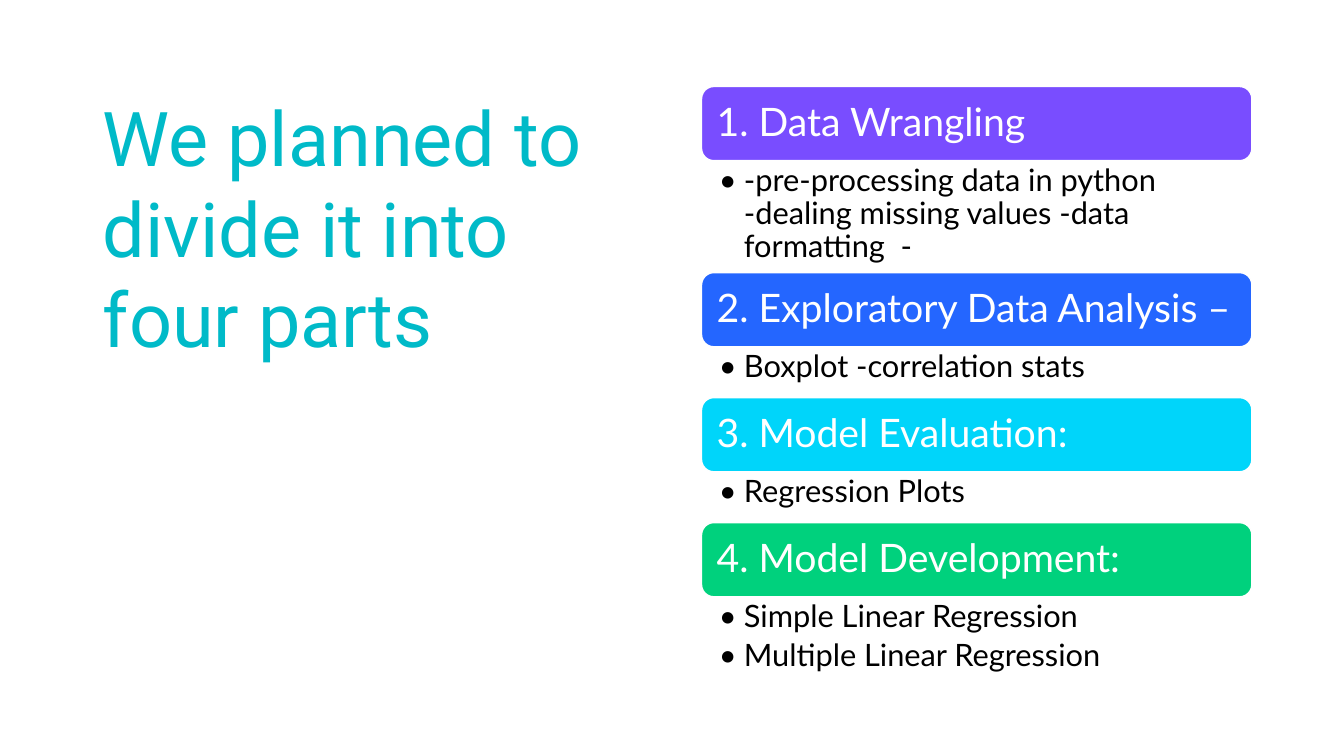
from lxml.etree import SubElement
from pptx import Presentation
from pptx.dml.color import RGBColor
from pptx.enum.shapes import MSO_SHAPE
from pptx.enum.text import MSO_ANCHOR, PP_ALIGN
from pptx.oxml.ns import qn
from pptx.util import Cm, Pt

COLORS = {
    "title": "00BAC8",
    "white": "FFFFFF",
    "black": "000000",
    "purple": "794DFF",
    "blue": "2466FF",
    "cyan": "00D5FA",
    "green": "00D17D",
}

# heading, bar colour, height of the details in cm, details
PARTS = [
    ("1. Data Wrangling", "purple", 2.82,
     ["-pre-processing data in python -dealing missing values -data formatting  -"]),
    ("2. Exploratory Data Analysis –", "blue", 1.28, ["Boxplot -correlation stats"]),
    ("3. Model Evaluation:", "cyan", 1.28, ["Regression Plots"]),
    ("4. Model Development:", "green", 2.08,
     ["Simple Linear Regression", "Multiple Linear Regression"]),
]

LIST_LEFT, LIST_TOP, LIST_WIDTH = 17.68, 2.18, 13.87
BAR_HEIGHT = 1.87


def color(name):
    return RGBColor.from_string(COLORS[name])


class SlideBuilder:
    title_font = "Roboto"
    body_font = "Lato"

    def __init__(self, presentation):
        self.slide = presentation.slides.add_slide(presentation.slide_layouts[5])

    def set_frame(self, frame, left, top, right, bottom, anchor):
        frame.word_wrap = True
        frame.margin_left, frame.margin_top = Cm(left), Cm(top)
        frame.margin_right, frame.margin_bottom = Cm(right), Cm(bottom)
        frame.vertical_anchor = anchor

    def style(self, paragraph, font_name, size, color_name, spacing):
        paragraph.alignment = PP_ALIGN.LEFT
        paragraph.line_spacing = spacing
        paragraph.font.name = font_name
        paragraph.font.size = Pt(size)
        paragraph.font.color.rgb = color(color_name)

    def add_title(self, text):
        title = self.slide.shapes.title
        title.left, title.top = Cm(2.34), Cm(2.16)
        title.width, title.height = Cm(13.87), Cm(14.99)
        frame = title.text_frame
        frame.text = text
        self.set_frame(frame, 0.25, 0.13, 0.25, 0.13, MSO_ANCHOR.TOP)
        self.style(frame.paragraphs[0], self.title_font, 54, "title", 1.0)

    def add_bar(self, text, top, fill):
        bar = self.slide.shapes.add_shape(
            MSO_SHAPE.ROUNDED_RECTANGLE,
            Cm(LIST_LEFT), Cm(top), Cm(LIST_WIDTH), Cm(BAR_HEIGHT))
        bar.shadow.inherit = False
        bar.fill.solid()
        bar.fill.fore_color.rgb = color(fill)
        bar.line.color.rgb = color("white")
        bar.line.width = Pt(1)
        frame = bar.text_frame
        frame.text = text
        self.set_frame(frame, 0.29, 0.1, 0.2, 0.1, MSO_ANCHOR.MIDDLE)
        self.style(frame.paragraphs[0], self.body_font, 28, "white", 0.9)

    def add_details(self, items, top, height):
        box = self.slide.shapes.add_textbox(
            Cm(LIST_LEFT), Cm(top), Cm(LIST_WIDTH), Cm(height))
        frame = box.text_frame
        frame.text = "\n".join(items)
        self.set_frame(frame, 0.44, 0.1, 0.56, 0.1, MSO_ANCHOR.TOP)
        for paragraph in frame.paragraphs:
            self.style(paragraph, self.body_font, 22, "black", 0.9)
            paragraph.space_after = Pt(4.4)
            self.add_bullet(paragraph)

    def add_bullet(self, paragraph):
        properties = paragraph._p.get_or_add_pPr()
        properties.set("marL", str(Cm(0.63)))
        properties.set("indent", str(-Cm(0.63)))
        # The schema wants the bullet ahead of the default run properties.
        run_defaults = properties.find(qn("a:defRPr"))
        for tag, key, value in (("a:buFont", "typeface", self.body_font),
                                ("a:buChar", "char", "•")):
            element = SubElement(properties, qn(tag))
            element.set(key, value)
            run_defaults.addprevious(element)


def main():
    presentation = Presentation()
    presentation.slide_width, presentation.slide_height = Cm(33.87), Cm(19.05)
    builder = SlideBuilder(presentation)
    builder.add_title("We planned to divide it into four parts")
    top = LIST_TOP
    for heading, fill, details_height, items in PARTS:
        builder.add_bar(heading, top, fill)
        builder.add_details(items, top + BAR_HEIGHT, details_height)
        top += BAR_HEIGHT + details_height
    presentation.save("out.pptx")


if __name__ == "__main__":
    main()
